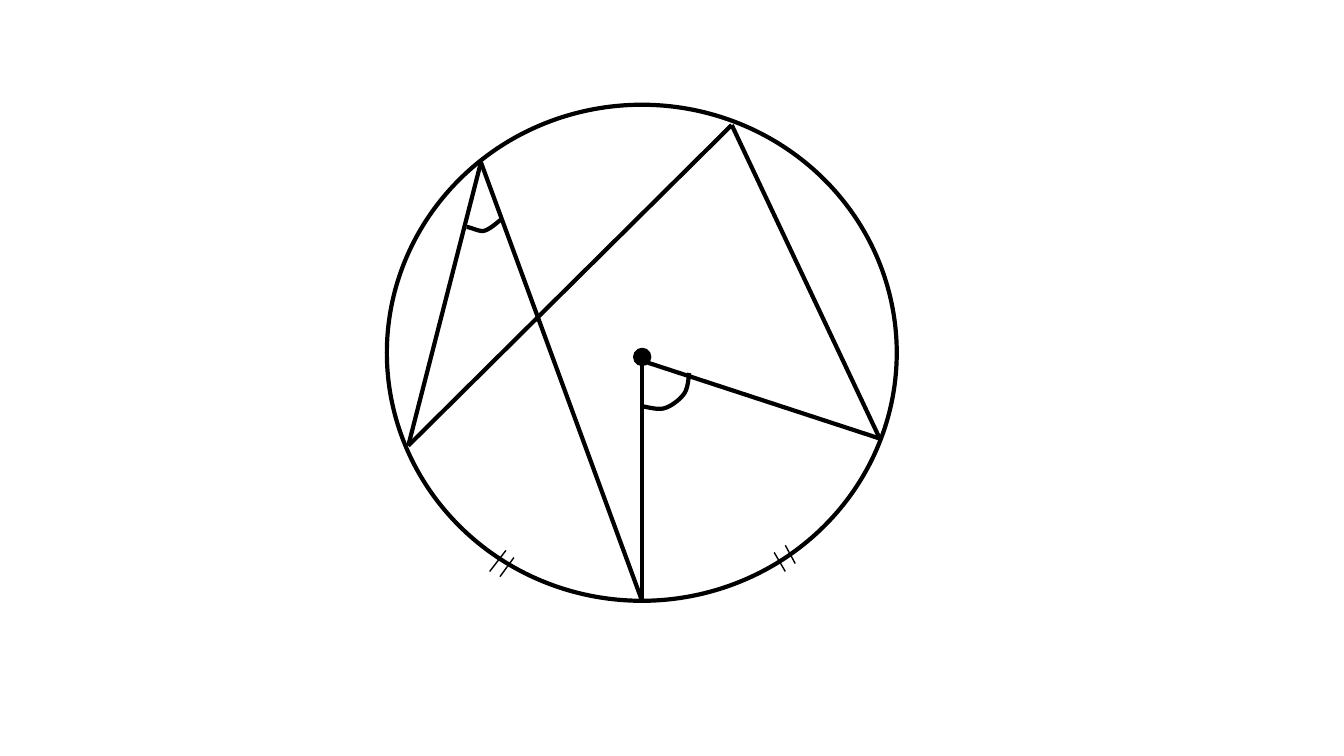
import dataclasses

import pptx
import pptx.dml.color
import pptx.enum.shapes
import pptx.oxml
import pptx.oxml.ns
import pptx.shapes.autoshape
import pptx.slide
import pptx.util
from pptx.util import Cm

Point = tuple[float, float]

COLOURS = {"ink": "000000"}
FIGURE_WIDTH = 3
DOT_WIDTH = 1.5
TICK_WIDTH = 1
CURVE_STEPS = 10


@dataclasses.dataclass(frozen=True)
class Disc:
    left: float
    top: float
    width: float
    height: float
    line_width: float
    filled: bool


@dataclasses.dataclass(frozen=True)
class Segment:
    start: Point
    end: Point
    line_width: float = FIGURE_WIDTH


@dataclasses.dataclass(frozen=True)
class AngleMark:
    """Chained cubic curves: a start, then two handles and an end each."""
    points: tuple[Point, ...]


# Points of the figure, in centimetres
LEFT: Point = (10.29, 11.23)
UPPER_LEFT: Point = (12.12, 4.09)
UPPER_RIGHT: Point = (18.44, 3.15)
RIGHT: Point = (22.17, 11.05)
BOTTOM: Point = (16.18, 15.14)

DISCS = [
    Disc(9.75, 2.64, 12.85, 12.5, FIGURE_WIDTH, False),
    Disc(15.98, 8.79, 0.41, 0.41, DOT_WIDTH, True),
]
CHORDS_AND_RADII = [
    Segment(LEFT, UPPER_LEFT),
    Segment(UPPER_LEFT, BOTTOM),
    Segment((16.18, 9.19), BOTTOM),
    Segment((16.33, 9.14), RIGHT),
    Segment(LEFT, UPPER_RIGHT),
    Segment(RIGHT, UPPER_RIGHT),
]
EQUAL_ARC_TICKS = [
    Segment((12.75, 13.87), (12.34, 14.4), TICK_WIDTH),
    Segment((12.95, 14.05), (12.6, 14.53), TICK_WIDTH),
    Segment((19.79, 14.4), (19.51, 13.92), TICK_WIDTH),
    Segment((20.04, 14.2), (19.79, 13.74), TICK_WIDTH),
]
ANGLE_MARKS = [
    AngleMark(((16.18, 10.24), (16.26, 10.24), (16.56, 10.34), (16.74, 10.29),
               (16.92, 10.24), (17.15, 10.06), (17.25, 9.91),
               (17.35, 9.75), (17.35, 9.5), (17.37, 9.4))),
    AngleMark(((11.76, 5.72), (11.84, 5.72), (12.07, 5.84), (12.19, 5.82),
               (12.34, 5.79), (12.55, 5.59), (12.62, 5.54))),
]


def ink() -> pptx.dml.color.RGBColor:
    return pptx.dml.color.RGBColor.from_string(COLOURS["ink"])


def style_outline(shape: pptx.shapes.autoshape.Shape, width: float, filled: bool = False) -> None:
    shape.shadow.inherit = False
    shape.line.color.rgb = ink()
    shape.line.width = pptx.util.Pt(width)
    if filled:
        shape.fill.solid()
        shape.fill.fore_color.rgb = ink()
    else:
        shape.fill.background()


def draw_disc(page: pptx.slide.Slide, disc: Disc) -> None:
    shape = page.shapes.add_shape(
        pptx.enum.shapes.MSO_SHAPE.OVAL,
        Cm(disc.left), Cm(disc.top), Cm(disc.width), Cm(disc.height))
    style_outline(shape, disc.line_width, disc.filled)


def draw_segment(page: pptx.slide.Slide, segment: Segment) -> None:
    connector = page.shapes.add_connector(
        pptx.enum.shapes.MSO_CONNECTOR.STRAIGHT,
        *map(Cm, segment.start + segment.end))
    connector.line.color.rgb = ink()
    connector.line.width = pptx.util.Pt(segment.line_width)
    properties = connector.element.find(pptx.oxml.ns.qn("p:spPr"))
    properties.append(properties.makeelement(pptx.oxml.ns.qn("a:effectLst"), {}))


def curve_point(controls: tuple[Point, ...], t: float) -> Point:
    weights = ((1 - t) ** 3, 3 * t * (1 - t) ** 2, 3 * t ** 2 * (1 - t), t ** 3)
    x, y = (sum(w * c[axis] for w, c in zip(weights, controls)) for axis in (0, 1))
    return Cm(x), Cm(y)


def draw_angle_mark(page: pptx.slide.Slide, mark: AngleMark) -> None:
    vertices = [curve_point(mark.points[first:first + 4], step / CURVE_STEPS)
                for first in range(0, len(mark.points) - 1, 3)
                for step in range(1, CURVE_STEPS + 1)]
    builder = page.shapes.build_freeform(*map(Cm, mark.points[0]))
    builder.add_line_segments(vertices, close=False)
    style_outline(builder.convert_to_shape(), FIGURE_WIDTH)


def main() -> None:
    deck = pptx.Presentation()
    deck.slide_width, deck.slide_height = Cm(33.87), Cm(19.05)
    page = deck.slides.add_slide(deck.slide_layouts[6])

    # Circle and its centre
    for disc in DISCS:
        draw_disc(page, disc)

    # Chords and radii
    for segment in CHORDS_AND_RADII:
        draw_segment(page, segment)

    # Angle marks
    for mark in ANGLE_MARKS:
        draw_angle_mark(page, mark)

    # Ticks on the equal arcs
    for tick in EQUAL_ARC_TICKS:
        draw_segment(page, tick)

    deck.save("out.pptx")


if __name__ == "__main__":
    main()
